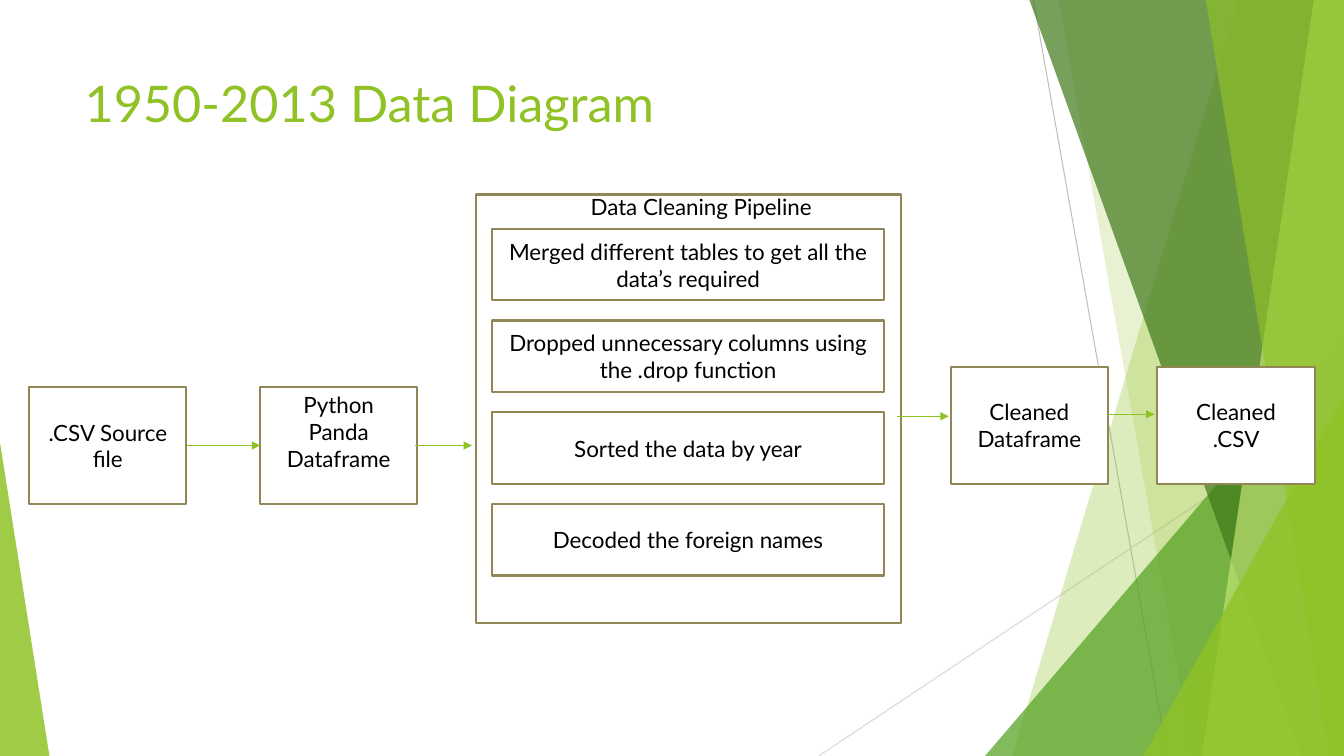
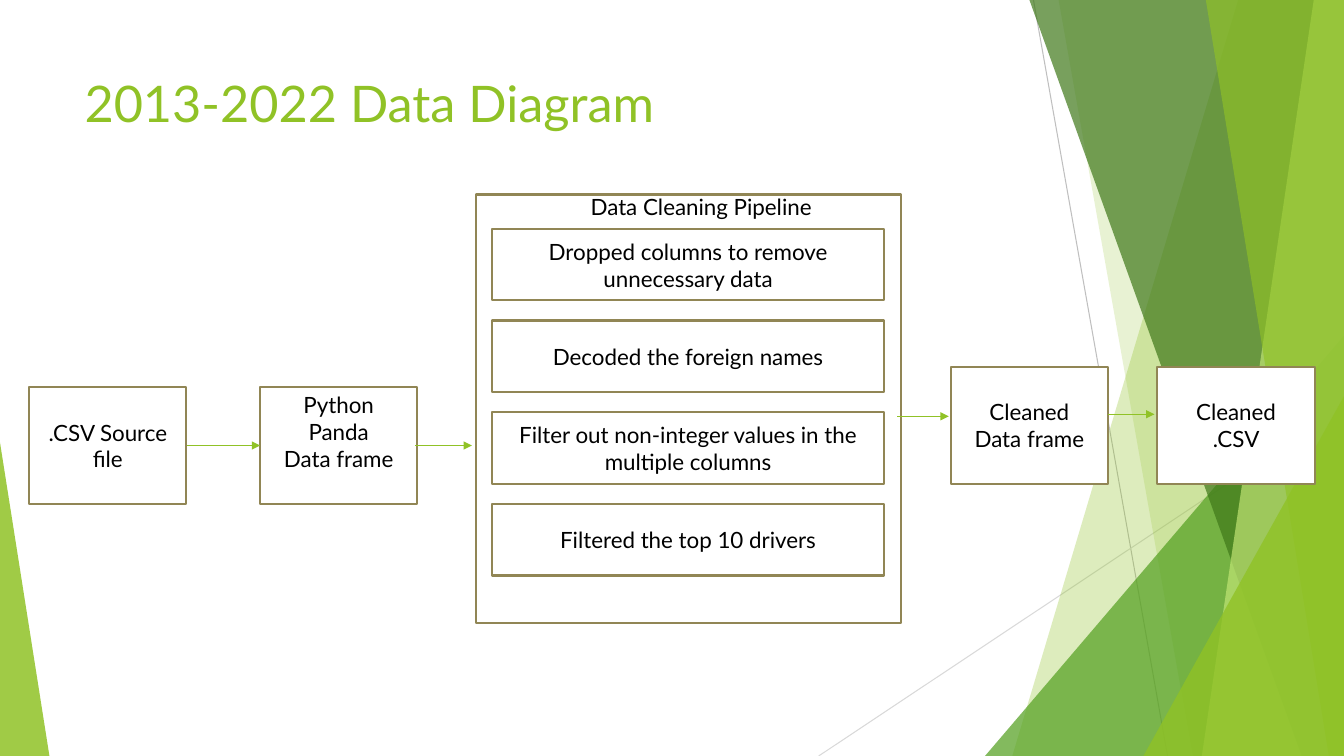
"""Build two slides that diagram how racing data was cleaned."""
import dataclasses
import typing

import lxml.etree
import pptx
import pptx.dml.color
import pptx.enum.shapes
import pptx.enum.text
import pptx.oxml.ns
import pptx.util

PX = 9144
WIDTH, HEIGHT = 1333, 750
FONT = "Lato"
COLORS = {
    "lime": "90C226",
    "green": "54A021",
    "forest": "3F7819",
    "pale": "C0E474",
    "olive": "918655",
    "gray": "BFBFBF",
    "silver": "D9D9D9",
    "white": "FFFFFF",
    "black": "000000",
}
STEP_TOP, STEP_PITCH = 227, 91
LINE_HEIGHT = 27
INSET = 5


@dataclasses.dataclass(frozen=True)
class Rect:
    left: int
    top: int
    width: int
    height: int


@dataclasses.dataclass(frozen=True)
class Line:
    x1: int
    y1: int
    x2: int
    y2: int
    color: str = "lime"
    weight: float = 1
    arrow: bool = True


@dataclasses.dataclass(frozen=True)
class Band:
    top_x: int
    bottom_x: int
    color: str
    opacity: int


@dataclasses.dataclass(frozen=True)
class Wedge:
    rect: Rect
    apex: float
    color: str
    opacity: int


@dataclasses.dataclass(frozen=True)
class Diagram:
    title: str
    frame_name: str
    steps: tuple[str, ...]


BACK_LINES = (
    Line(1025, 0, 1158, 750, "gray", 0.75, False),
    Line(1333, 403, 812, 750, "silver", 0.75, False),
)
FACETS = (
    Band(1228, 1004, "lime", 30),
    Band(1050, 1183, "lime", 20),
    Wedge(Rect(977, 333, 356, 417), 1, "green", 72),
    Band(1021, 1291, "forest", 70),
    Band(1303, 1192, "pale", 70),
    Band(1196, 1318, "lime", 65),
    Wedge(Rect(1134, 393, 199, 357), 1, "lime", 80),
    Wedge(Rect(0, 439, 49, 311), 0, "lime", 85),
)
ARROWS = (
    Line(185, 442, 258, 442),
    Line(412, 442, 468, 442),
    Line(890, 413, 941, 413),
    Line(1099, 411, 1145, 411),
)
TITLE = Rect(74, 67, 940, 144)
SOURCE = Rect(29, 384, 156, 116)
LOADED = Rect(258, 384, 156, 116)
CLEANED = Rect(943, 364, 156, 116)
RESULT = Rect(1148, 364, 156, 116)
PIPELINE = Rect(472, 193, 422, 425)
PIPELINE_LABEL = Rect(488, 187, 415, 37)
DIAGRAMS = (
    Diagram("1950-2013 Data Diagram", "Dataframe", (
        "Merged different tables to get all the data’s required",
        "Dropped unnecessary columns using the .drop function",
        "Sorted the data by year",
        "Decoded the foreign names",
    )),
    Diagram("2013-2022 Data Diagram", "Data frame", (
        "Dropped columns to remove unnecessary data",
        "Decoded the foreign names",
        "Filter out non-integer values in the multiple columns",
        "Filtered the top 10 drivers",
    )),
)


def rgb(name: str) -> pptx.dml.color.RGBColor:
    return pptx.dml.color.RGBColor.from_string(COLORS[name])


def emu(rect: Rect) -> tuple[int, ...]:
    return tuple(v * PX for v in dataclasses.astuple(rect))


def write(sp: typing.Any, lines: tuple[str, ...], size: int = 16,
          color: str = "black", centered: bool = True) -> None:
    tf = sp.text_frame
    tf.word_wrap = True
    align = pptx.enum.text.PP_ALIGN
    for i, line in enumerate(lines):
        p = tf.add_paragraph() if i else tf.paragraphs[0]
        p.alignment = align.CENTER if centered else align.LEFT
        r = p.add_run()
        r.text = line
        r.font.name = FONT
        r.font.size = pptx.util.Pt(size)
        r.font.color.rgb = rgb(color)


def add_line(s: typing.Any, line: Line) -> None:
    ends = (v * PX for v in (line.x1, line.y1, line.x2, line.y2))
    cxn = s.shapes.add_connector(pptx.enum.shapes.MSO_CONNECTOR.STRAIGHT, *ends)
    cxn.line.color.rgb = rgb(line.color)
    cxn.line.width = pptx.util.Pt(line.weight)
    qn = pptx.oxml.ns.qn
    sppr = cxn.element.spPr
    if line.arrow:
        lxml.etree.SubElement(sppr.find(qn("a:ln")), qn("a:tailEnd"), type="triangle")
    lxml.etree.SubElement(sppr, qn("a:effectLst"))


def add_facet(s: typing.Any, facet: Band | Wedge) -> None:
    if isinstance(facet, Band):
        fb = s.shapes.build_freeform(facet.top_x, 0, scale=PX)
        fb.add_line_segments(
            [(WIDTH, 0), (WIDTH, HEIGHT), (facet.bottom_x, HEIGHT)], close=True)
        sp = fb.convert_to_shape()
    else:
        kind = pptx.enum.shapes.MSO_SHAPE.ISOSCELES_TRIANGLE
        sp = s.shapes.add_shape(kind, *emu(facet.rect))
        sp.adjustments[0] = facet.apex
    sp.shadow.inherit = False
    sp.fill.solid()
    sp.fill.fore_color.rgb = rgb(facet.color)
    sp.line.fill.background()
    qn = pptx.oxml.ns.qn
    color = sp.element.spPr.find(f"{qn('a:solidFill')}/{qn('a:srgbClr')}")
    lxml.etree.SubElement(color, qn("a:alpha"), val=str(facet.opacity * 1000))


def add_box(s: typing.Any, rect: Rect, lines: tuple[str, ...] = (),
            filled: bool = True, raised: int = 0) -> None:
    sp = s.shapes.add_shape(pptx.enum.shapes.MSO_SHAPE.RECTANGLE, *emu(rect))
    sp.shadow.inherit = False
    if filled:
        sp.fill.solid()
        sp.fill.fore_color.rgb = rgb("white")
    else:
        sp.fill.background()
    sp.line.color.rgb = rgb("olive")
    sp.line.width = pptx.util.Pt(1.5)
    sp.text_frame.vertical_anchor = pptx.enum.text.MSO_ANCHOR.MIDDLE
    sp.text_frame.margin_bottom = (INSET + raised) * PX
    write(sp, lines)


def add_diagram(s: typing.Any, diagram: Diagram) -> None:
    for line in BACK_LINES:
        add_line(s, line)
    for facet in FACETS:
        add_facet(s, facet)
    add_box(s, SOURCE, (".CSV Source file",))
    add_box(s, LOADED, ("Python", "Panda", diagram.frame_name), raised=LINE_HEIGHT)
    for i, step in enumerate(diagram.steps):
        add_box(s, Rect(488, STEP_TOP + i * STEP_PITCH, 389, 71), (step,))
    add_box(s, RESULT, ("Cleaned", ".CSV"))
    add_box(s, CLEANED, ("Cleaned", diagram.frame_name))
    write(s.shapes.add_textbox(*emu(PIPELINE_LABEL)), ("Data Cleaning Pipeline",))
    add_box(s, PIPELINE, filled=False)
    for arrow in ARROWS:
        add_line(s, arrow)
    write(s.shapes.add_textbox(*emu(TITLE)), (diagram.title,), 36, "lime", False)


def main() -> None:
    prs = pptx.Presentation()
    prs.slide_width, prs.slide_height = WIDTH * PX, HEIGHT * PX
    for diagram in DIAGRAMS:
        add_diagram(prs.slides.add_slide(prs.slide_layouts[6]), diagram)
    prs.save("out.pptx")


if __name__ == "__main__":
    main()
